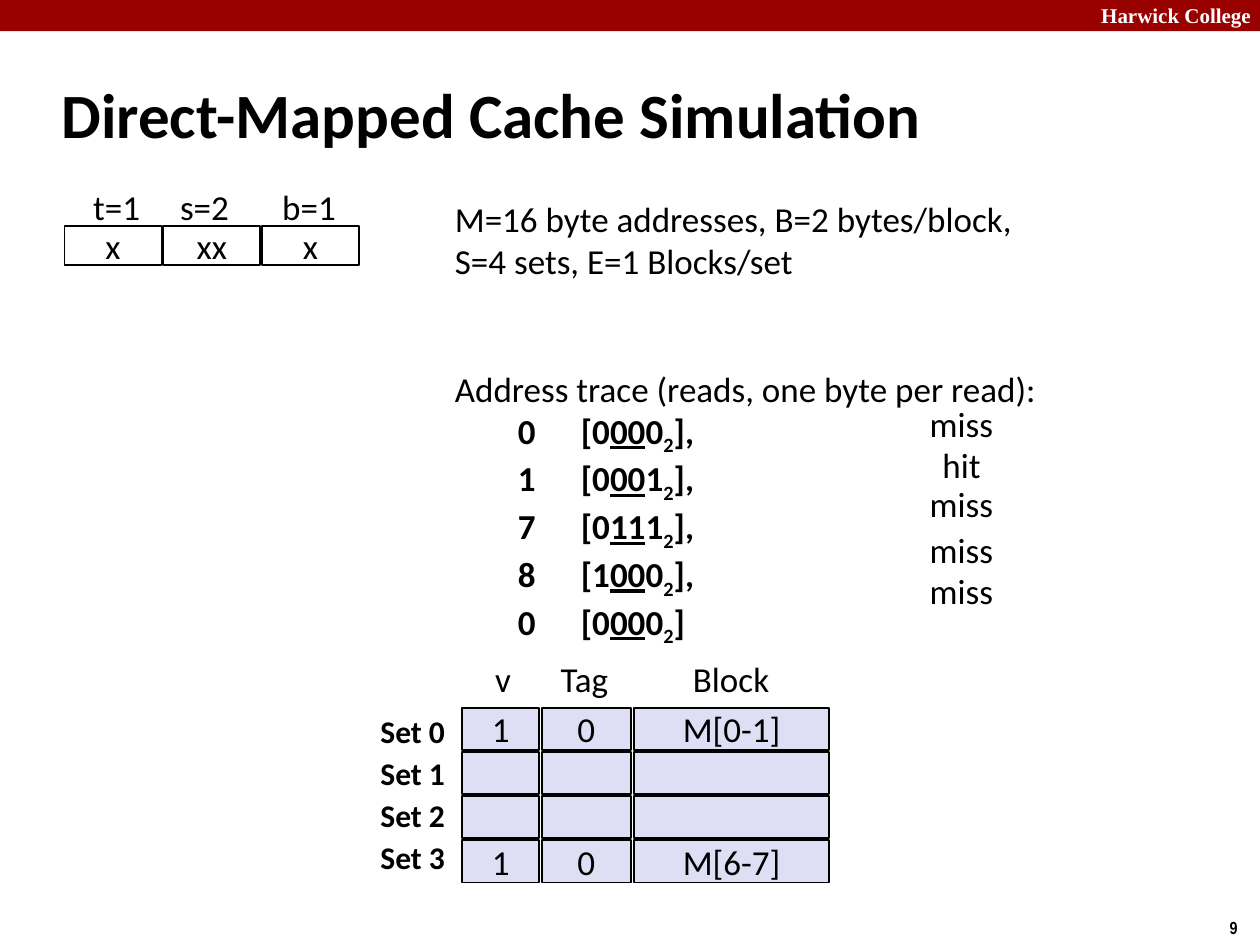
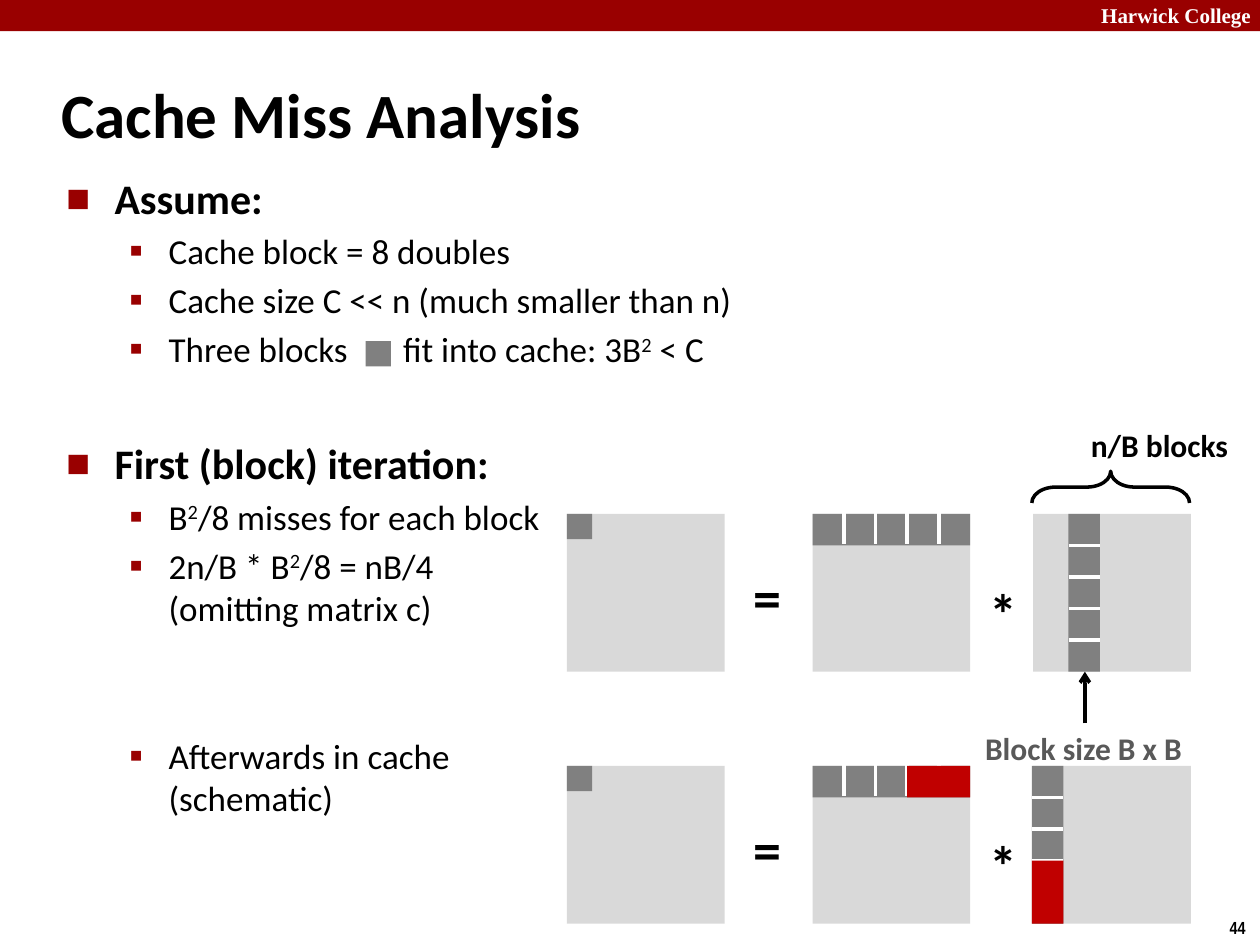
from dataclasses import dataclass
from typing import NamedTuple

from lxml import etree
from pptx import Presentation
from pptx.dml.color import RGBColor
from pptx.enum.shapes import MSO_CONNECTOR, MSO_SHAPE
from pptx.enum.text import MSO_ANCHOR, MSO_AUTO_SIZE, PP_ALIGN
from pptx.oxml.ns import qn
from pptx.util import Cm, Pt

RECTANGLE = MSO_SHAPE.RECTANGLE
LEFT_BRACE = MSO_SHAPE.LEFT_BRACE
STRAIGHT = MSO_CONNECTOR.STRAIGHT
TOP = MSO_ANCHOR.TOP
MIDDLE = MSO_ANCHOR.MIDDLE
CENTER = PP_ALIGN.CENTER
FIT_SHAPE = MSO_AUTO_SIZE.SHAPE_TO_FIT_TEXT

BLACK = RGBColor(0x00, 0x00, 0x00)
WHITE = RGBColor(0xFF, 0xFF, 0xFF)
CRIMSON = RGBColor(0x99, 0x00, 0x00)
LAVENDER = RGBColor(0xDE, 0xDF, 0xF5)
MATRIX_GRAY = RGBColor(0xD9, 0xD9, 0xD9)
BLOCK_GRAY = RGBColor(0x80, 0x80, 0x80)
LABEL_GRAY = RGBColor(0x59, 0x59, 0x59)
CACHED_RED = RGBColor(0xC0, 0x00, 0x00)

BODY_FONT = "Calibri"
HEADER_FONT = "Times New Roman"
NUMBER_FONT = "Arial Narrow"

SLIDE_WIDTH, SLIDE_HEIGHT = 25.4, 19.05
MATRIX = 3.18
BLOCKS = 5
BLOCK = MATRIX / BLOCKS
SMALL_BLOCK = 0.51


class Box(NamedTuple):
    """Place and size in centimetres."""

    left: float
    top: float
    width: float
    height: float

    def lengths(self):
        """Return the four values as lengths."""
        return [Cm(value) for value in self]


class Column(NamedTuple):
    """Column of the cache: heading and cell place."""

    heading: str
    heading_left: float
    heading_width: float
    left: float
    width: float


class Field(NamedTuple):
    """Part of an address: its label and its bits."""

    label: str
    label_left: float
    label_width: float
    bits: str


class Read(NamedTuple):
    """One read of the address trace and its outcome."""

    address: str
    bits: str
    outcome: str
    left: float
    top: float


class Piece(NamedTuple):
    """Piece of a line with its own format; a newline breaks the line."""

    text: str
    baseline: int = 0
    spacing: int = 0


class Level(NamedTuple):
    """Style of one bullet level."""

    size: int
    bold: bool
    margin: float
    hanging: float
    character: str
    percent: int


@dataclass
class Bullet:
    """Bullet paragraph; space before is in points."""

    level: int
    pieces: tuple[Piece, ...]
    space: float


LEVELS = (Level(24, True, 0.97, 0.97, "■", 60), Level(20, False, 2.06, 0.79, "▪", 110))
SQUARED = Piece("2", baseline=30)
BULLETS = (
    Bullet(0, (Piece("Assume:"),), 4.8),
    Bullet(1, (Piece("Cache block = 8 doubles"),), 4),
    Bullet(1, (Piece("Cache size C << n (much smaller than n)"),), 4),
    Bullet(1, (Piece("Three blocks"), Piece(" ", spacing=27), Piece("fit into cache: 3B"),
               SQUARED, Piece(" < C")), 4),
    Bullet(0, (Piece("First (block) iteration:"),), 38.9),
    Bullet(1, (Piece("B"), SQUARED, Piece("/8 misses for each block")), 4),
    Bullet(1, (Piece("2n/B * B"), SQUARED, Piece("/8 = nB/4"), Piece("\n"),
               Piece("(omitting matrix c)")), 4),
    Bullet(1, (Piece("Afterwards in cache"), Piece("\n"), Piece("(schematic)")), 60.8),
)
FIELDS = (
    Field("t=1", 1.63, 1.47, "x"),
    Field("s=2", 3.38, 1.5, "xx"),
    Field("b=1", 5.44, 1.6, "x"),
)
READS = (
    Read("0", "0000", "miss", 18.49, 8.26),
    Read("1", "0001", "hit", 18.75, 9.09),
    Read("7", "0111", "miss", 18.49, 9.86),
    Read("8", "1000", "miss", 18.49, 10.8),
    Read("0", "0000", "miss", 18.49, 11.63),
)
COLUMNS = (
    Column("v", 9.73, 0.86, 9.32, 1.55),
    Column("Tag", 11.05, 1.47, 10.92, 1.8),
    Column("Block", 13.72, 2.06, 12.78, 3.94),
)
SETS = (("1", "0", "M[0-1]"), ("", "", ""), ("", "", ""), ("1", "0", "M[6-7]"))


def add_run(paragraph, text, *, size=20, bold=False, underline=False, color=BLACK,
            font=BODY_FONT, baseline=0, spacing=0):
    """Add formatted text; baseline is in percent, spacing in points."""
    run = paragraph.add_run()
    run.text = text
    run.font.name = font
    run.font.size = Pt(size)
    run.font.bold = bold
    run.font.underline = underline
    run.font.color.rgb = color
    properties = run._r.get_or_add_rPr()
    if baseline:
        properties.set("baseline", str(baseline * 1000))
    if spacing:
        properties.set("spc", str(spacing * 100))


def add_frame(slide, box: Box, *, wrap=False, anchor=TOP):
    """Add an empty text box and return its text frame."""
    frame = slide.shapes.add_textbox(*box.lengths()).text_frame
    frame.word_wrap = wrap
    frame.vertical_anchor = anchor
    if not wrap:
        frame.auto_size = FIT_SHAPE
    return frame


def add_text(slide, text: str, box: Box, *, wrap=False, anchor=TOP, line_spacing=None, **style):
    """Add a text box with one paragraph."""
    paragraph = add_frame(slide, box, wrap=wrap, anchor=anchor).paragraphs[0]
    paragraph.line_spacing = line_spacing
    add_run(paragraph, text, **style)


def add_rectangle(slide, box: Box, fill: RGBColor, *, outlined=False, text=""):
    """Add a filled rectangle with an optional outline and centred text."""
    shape = slide.shapes.add_shape(RECTANGLE, *box.lengths())
    shape.shadow.inherit = False
    shape.fill.solid()
    shape.fill.fore_color.rgb = fill
    if outlined:
        shape.line.color.rgb = BLACK
        shape.line.width = Pt(1)
    else:
        shape.line.fill.background()
    if text:
        frame = shape.text_frame
        frame.word_wrap = False
        frame.vertical_anchor = MIDDLE
        frame.paragraphs[0].alignment = CENTER
        add_run(frame.paragraphs[0], text)


def add_line(slide, start: tuple, end: tuple, color: RGBColor, *, arrow=False):
    """Add a straight line, with an arrowhead at its end if asked."""
    connector = slide.shapes.add_connector(STRAIGHT, *map(Cm, (*start, *end)))
    connector.line.color.rgb = color
    connector.line.width = Pt(2)
    if arrow:
        etree.SubElement(connector.line._get_or_add_ln(), qn("a:tailEnd"), type="arrow")
    etree.SubElement(connector._element.spPr, qn("a:effectLst"))


def add_base(presentation, title: str, number: int):
    """Add a slide with the band, the header, the number and the title."""
    slide = presentation.slides.add_slide(presentation.slide_layouts[6])
    add_rectangle(slide, Box(0, 0, SLIDE_WIDTH, 0.63), CRIMSON)
    add_text(slide, "Harwick College", Box(21.95, -0.08, 3.63, 0.76), wrap=True,
             size=12, bold=True, color=WHITE, font=HEADER_FONT)
    add_text(slide, str(number), Box(24.54, 18.36, 0.86, 0.69),
             size=10, bold=True, font=NUMBER_FONT)
    add_text(slide, title, Box(0.99, 1.22, 21.08, 2.11), wrap=True, anchor=MIDDLE,
             size=36, bold=True)
    return slide


def add_trace(slide):
    """Add the cache parameters, the address trace and the outcomes."""
    frame = add_frame(slide, Box(8.92, 3.86, 16.4, 8.79), wrap=True)
    paragraph = frame.paragraphs[0]
    add_run(paragraph, "M=16 byte addresses, B=2 bytes/block,")
    add_run(frame.add_paragraph(), "S=4 sets, E=1 Blocks/set")
    paragraph = frame.add_paragraph()
    paragraph.space_before = Pt(48.8)
    add_run(paragraph, "Address trace (reads, one byte per read):")
    for read in READS:
        paragraph = frame.add_paragraph()
        add_run(paragraph, f"\t{read.address}\t[{read.bits[0]}", bold=True)
        add_run(paragraph, read.bits[1:3], bold=True, underline=True)
        add_run(paragraph, read.bits[3], bold=True)
        add_run(paragraph, "2", bold=True, baseline=-25)
        add_run(paragraph, "]" if read is READS[-1] else "],", bold=True)
        width = 1.8 if read.outcome == "miss" else 1.3
        add_text(slide, read.outcome, Box(read.left, read.top, width, 0.86), line_spacing=0.65)


def add_cache(slide):
    """Add the cache sets with their headings and labels."""
    for column in COLUMNS:
        add_text(slide, column.heading,
                 Box(column.heading_left, 13.13, column.heading_width, 1.09))
    for index, values in enumerate(SETS):
        for column, value in zip(COLUMNS, values):
            box = Box(column.left, 14.27 + 0.89 * index, column.width, 0.85)
            add_rectangle(slide, box, LAVENDER, outlined=True, text=value)
        add_text(slide, f"Set {index}", Box(7.42, 14.22 + 0.85 * index, 1.83, 1.02),
                 size=18, bold=True)


def add_bullets(slide, box: Box):
    """Add the bullet list."""
    frame = add_frame(slide, box, wrap=True)
    for index, bullet in enumerate(BULLETS):
        level = LEVELS[bullet.level]
        paragraph = frame.add_paragraph() if index else frame.paragraphs[0]
        paragraph.level = bullet.level
        paragraph.space_before = Pt(bullet.space)
        properties = paragraph._p.get_or_add_pPr()
        properties.set("marL", str(Cm(level.margin)))
        properties.set("indent", str(-Cm(level.hanging)))
        color = etree.SubElement(properties, qn("a:buClr"))
        etree.SubElement(color, qn("a:srgbClr"), val=str(CRIMSON))
        etree.SubElement(properties, qn("a:buSzPct"), val=str(level.percent * 1000))
        etree.SubElement(properties, qn("a:buFont"), typeface=BODY_FONT)
        etree.SubElement(properties, qn("a:buChar"), char=level.character)
        for piece in bullet.pieces:
            if piece.text == "\n":
                paragraph.add_line_break()
            else:
                add_run(paragraph, piece.text, size=level.size, bold=level.bold,
                        baseline=piece.baseline, spacing=piece.spacing)


def add_product(slide, top: float, column_left: float, cached: int):
    """Add one blocked matrix product; the last cached blocks are red."""
    result, row, column = 11.43, 16.38, 20.83
    for left in (result, row, column):
        add_rectangle(slide, Box(left, top, MATRIX, MATRIX), MATRIX_GRAY)
    add_text(slide, "=", Box(14.94, top + 0.86 * BLOCK * 1.58 + 5.08 - 5.08, 1.09, 1.63),
             size=32, bold=True)
    add_text(slide, "*", Box(19.69, top + 1.17, 1.09, 1.63), size=32, bold=True)
    add_rectangle(slide, Box(result, top, SMALL_BLOCK, SMALL_BLOCK), BLOCK_GRAY)
    add_rectangle(slide, Box(row, top, MATRIX, BLOCK), BLOCK_GRAY)
    add_rectangle(slide, Box(column_left, top, BLOCK, MATRIX), BLOCK_GRAY)
    for index in range(1, BLOCKS):
        x, y = row + index * BLOCK, top + index * BLOCK
        add_line(slide, (x, top - 0.03), (x, top + BLOCK - 0.03), WHITE)
        add_line(slide, (column_left, y), (column_left + BLOCK, y), WHITE)
    if cached:
        start, length = (BLOCKS - cached) * BLOCK, cached * BLOCK
        add_rectangle(slide, Box(row + start, top, length, BLOCK), CACHED_RED)
        add_rectangle(slide, Box(column_left, top + start, BLOCK, length), CACHED_RED)


def add_brace(slide, box: Box):
    """Add a brace turned to point upwards."""
    brace = slide.shapes.add_shape(LEFT_BRACE, *box.lengths())
    brace.shadow.inherit = False
    brace.rotation = 90
    brace.adjustments[0] = 0.75
    brace.fill.background()
    brace.line.color.rgb = BLACK
    brace.line.width = Pt(2)


def build_simulation(presentation):
    """Build the cache simulation slide."""
    slide = add_base(presentation, "Direct-Mapped Cache Simulation", 9)
    for index, field in enumerate(FIELDS):
        add_rectangle(slide, Box(1.3 + 1.99 * index, 4.55, 1.96, 0.79), WHITE,
                      outlined=True, text=field.bits)
        add_text(slide, field.label, Box(field.label_left, 3.61, field.label_width, 1.09))
    add_trace(slide)
    add_cache(slide)


def build_analysis(presentation):
    """Build the cache miss analysis slide."""
    slide = add_base(presentation, "Cache Miss Analysis", 44)
    add_bullets(slide, Box(1.09, 3.35, 21.95, 8.48))
    add_rectangle(slide, Box(7.37, 6.88, SMALL_BLOCK, SMALL_BLOCK), BLOCK_GRAY)
    add_product(slide, 10.36, 21.54, cached=0)
    add_product(slide, 15.44, 20.8, cached=2)
    add_text(slide, "Block size B x B", Box(19.61, 14.58, 4.52, 1.02),
             size=18, bold=True, color=LABEL_GRAY)
    add_line(slide, (21.87, 14.58), (21.87, 13.54), BLACK, arrow=True)
    add_brace(slide, Box(22.07, 8.23, 0.64, MATRIX))
    add_text(slide, "n/B blocks", Box(21.74, 8.46, 3.3, 1.02), size=18, bold=True)


def main():
    """Build and save the presentation."""
    presentation = Presentation()
    presentation.slide_width = Cm(SLIDE_WIDTH)
    presentation.slide_height = Cm(SLIDE_HEIGHT)
    build_simulation(presentation)
    build_analysis(presentation)
    presentation.save("out.pptx")


main()
